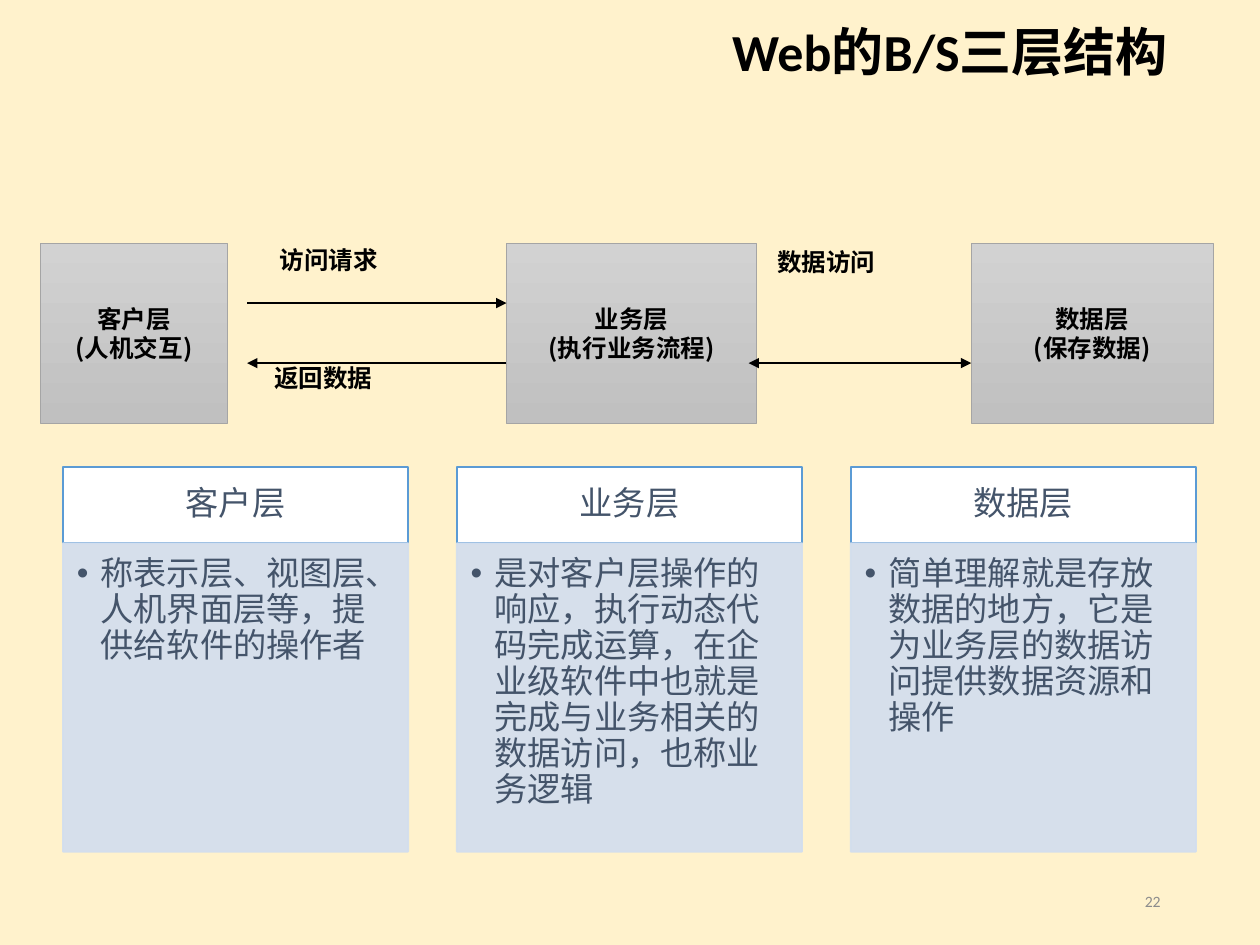
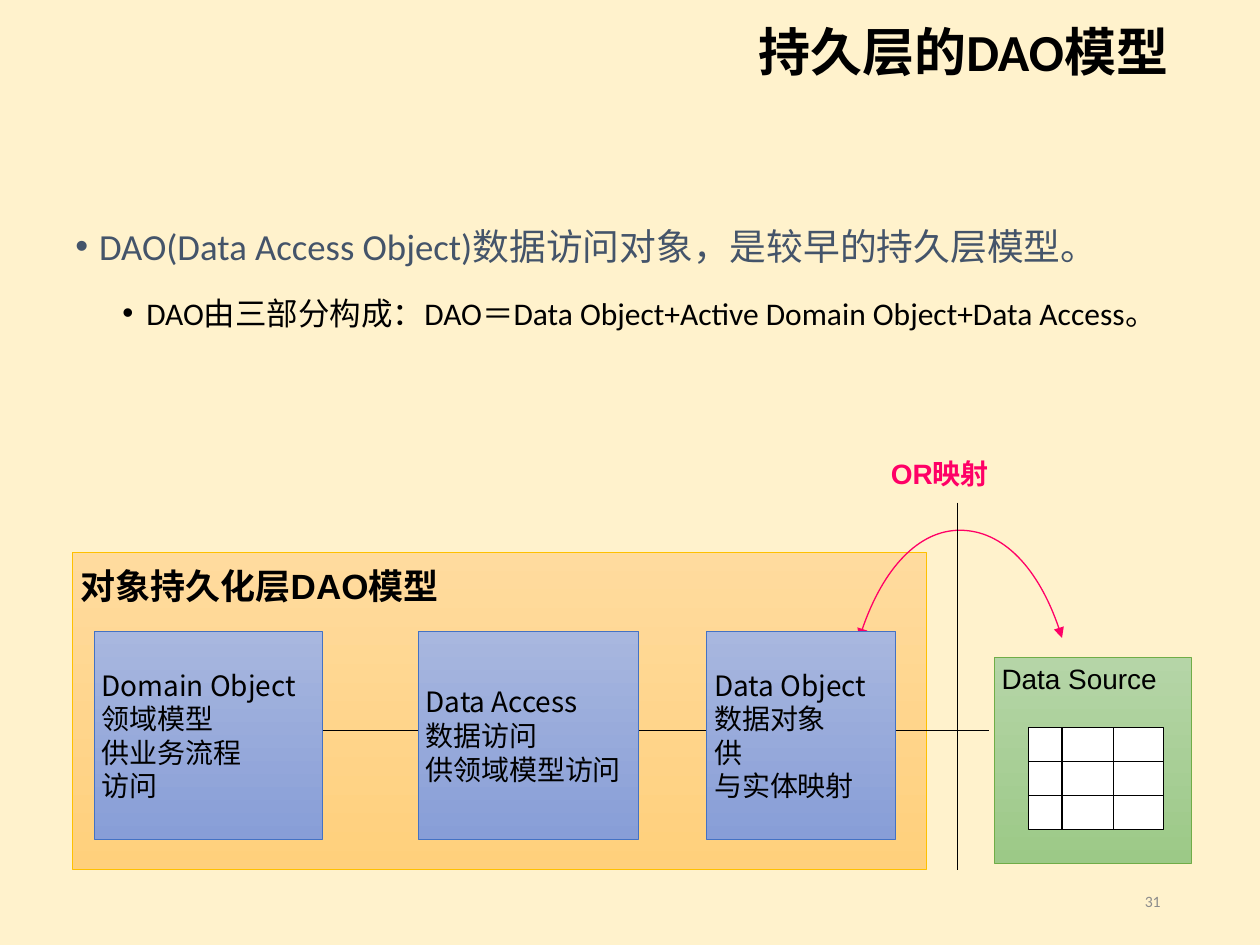
from pptx import Presentation
from pptx.dml.color import RGBColor
from pptx.enum.shapes import MSO_CONNECTOR, MSO_SHAPE
from pptx.enum.text import MSO_ANCHOR, MSO_AUTO_SIZE, PP_ALIGN
from pptx.oxml.ns import qn
from pptx.util import Cm, Pt
from lxml import etree

RECT, LINE = MSO_SHAPE.RECTANGLE, MSO_CONNECTOR.STRAIGHT
TOP, MID = MSO_ANCHOR.TOP, MSO_ANCHOR.MIDDLE
LEFT, MIDDLE, RIGHT = PP_ALIGN.LEFT, PP_ALIGN.CENTER, PP_ALIGN.RIGHT
FIT_OFF = MSO_AUTO_SIZE.NONE

HEX = {
    "page": "FFF2CC", "ink": "000000", "slate": "44546A", "mute": "8C8C8C",
    "white": "FFFFFF", "blue": "5B9BD5", "pale": "D2DEEF", "pink": "FF0066",
}
# gradient top, gradient bottom, outline
SHADE = {
    "gray": ("D2D2D2", "C0C0C0", "A5A5A5"),
    "gold": ("FFDB9E", "FFD07C", "FFC000"),
    "blue": ("A8B7DF", "889ED7", "4472C4"),
    "green": ("B5D5A7", "9CC987", "70AD47"),
}
SANS, CJK, ARIAL = "Calibri", "Noto Sans CJK SC", "Arial"

# Tiers: left and width in cm, then the lines of text
TIERS = [
    (0.81, 3.78, ["客户层", "(人机交互)"]),
    (10.21, 5.05, ["业务层", "(执行业务流程)"]),
    (19.58, 4.88, ["数据层", "(保存数据)"]),
]
FLOWS = [
    ((4.98, 6.11), (10.21, 6.11), "tail"),
    ((10.21, 7.32), (4.98, 7.32), "tail"),
    ((15.09, 7.32), (19.58, 7.32), "head tail"),
]
LABELS = [("访问请求", 5.44, 4.93), ("返回数据", 5.33, 7.32), ("数据访问", 15.47, 4.98)]
CARDS = [
    ("客户层", "称表示层、视图层、人机界面层等，提供给软件的操作者"),
    ("业务层", "是对客户层操作的响应，执行动态代码完成运算，在企业级软件中"
               "也就是完成与业务相关的数据访问，也称业务逻辑"),
    ("数据层", "简单理解就是存放数据的地方，它是为业务层的数据访问提供数据资源和操作"),
]

POINTS = [
    ("DAO(Data Access Object)数据访问对象，是较早的持久层模型。",
     dict(size=21, color="slate", indent=0.48, before=7.5)),
    ("DAO由三部分构成：DAO＝Data Object+Active Domain Object+Data Access。",
     dict(size=18, indent=1.43, before=3.8)),
]
PARTS = [
    (1.9, 4.6, ["Domain Object", "领域模型", "供业务流程", "访问"]),
    (8.43, 4.45, ["Data Access", "数据访问", "供领域模型访问"]),
    (14.25, 3.81, ["Data Object", "数据对象", "供", "与实体映射"]),
]
ARC = [(17.32, 12.88), (17.73, 11.53), (18.52, 10.69), (19.35, 10.69),
       (20.22, 10.69), (21.01, 11.53), (21.41, 12.86)]
GRID = (20.73, 14.66, 2.72, 2.06)


def rgb(name):
    return RGBColor.from_string(HEX.get(name, name))


def sub(node, tag, **attrs):
    return etree.SubElement(node, qn(tag), attrs)


def write(frame, lines, size=14, font=SANS, color="ink", bold=False, align=LEFT,
          anchor=TOP, inset=(0.25, 0.13, 0.25, 0.13), gap=None, before=0,
          indent=0, more=False):
    """Fill a text frame; indent adds a bullet, more appends to earlier text."""
    frame.word_wrap, frame.auto_size = True, FIT_OFF
    frame.vertical_anchor = anchor
    (frame.margin_left, frame.margin_top,
     frame.margin_right, frame.margin_bottom) = [Cm(n) for n in inset]
    for i, line in enumerate(lines):
        para = frame.add_paragraph() if i or more else frame.paragraphs[0]
        para.alignment, para.space_before = align, Pt(before)
        if gap:
            para.line_spacing = gap
        if indent:
            props = para._p.get_or_add_pPr()
            props.set("marL", str(Cm(indent)))
            props.set("indent", str(-Cm(0.48)))
            sub(props, "a:buFont", typeface=ARIAL)
            sub(props, "a:buChar", char="•")
        run = para.add_run()
        run.text = line
        run.font.size, run.font.bold, run.font.name = Pt(size), bold, font
        run.font.color.rgb = rgb(color)
        sub(run._r.get_or_add_rPr(), "a:ea", typeface=CJK)


def label(slide, box, lines, **form):
    frame = slide.shapes.add_textbox(*map(Cm, box)).text_frame
    write(frame, lines, **form)
    return frame


def block(slide, box, fill, edge, width=1.0):
    shape = slide.shapes.add_shape(RECT, *map(Cm, box))
    shape.shadow.inherit = False
    shape.fill.solid()
    shape.fill.fore_color.rgb = rgb(fill)
    shape.line.color.rgb = rgb(edge)
    shape.line.width = Pt(width)
    return shape


def shaded(slide, box, shade, lines, **form):
    """Draw a block with a top-down gradient and text."""
    first, last, edge = SHADE[shade]
    shape = block(slide, box, first, edge, 0.5)
    shape.fill.gradient()
    shape.fill.gradient_angle = 270
    for stop, tone in zip(shape.fill.gradient_stops, (first, last)):
        stop.color.rgb = rgb(tone)
    write(shape.text_frame, lines, **form)


def style(shape, color, ends=""):
    """Set line colour, weight and arrowheads."""
    shape.line.color.rgb = rgb(color)
    shape.line.width = Pt(0.75)
    for end in ends.split():
        sub(shape.line._get_or_add_ln(), f"a:{end}End", type="triangle")


def link(slide, start, stop, ends=""):
    line = slide.shapes.add_connector(LINE, *map(Cm, start + stop))
    style(line, "ink", ends)
    sub(line._element.spPr, "a:effectLst")


def curve(slide, dots, color):
    """Draw Bezier curves: a start, then three points for each curve."""
    dots = [(Cm(x), Cm(y)) for x, y in dots]
    pen = slide.shapes.build_freeform(*dots[0], scale=1.0)
    pen.add_line_segments(dots[1:], close=False)
    shape = pen.convert_to_shape()
    shape.shadow.inherit = False
    shape.fill.background()
    style(shape, color, "head tail")
    track = shape._element.find(".//" + qn("a:path"))
    track.set("fill", "none")
    steps = track.findall(qn("a:lnTo"))
    for i in range(0, len(steps), 3):
        bend = sub(track, "a:cubicBezTo")
        for step in steps[i:i + 3]:
            bend.append(step[0])
            track.remove(step)


def start(deck, title, number):
    slide = deck.slides.add_slide(deck.slide_layouts[5])
    head = slide.shapes.title
    head.left, head.top, head.width, head.height = map(Cm, (1.9, 0.36, 21.9, 1.5))
    write(head.text_frame, [title], size=29.7, bold=True, align=RIGHT,
          anchor=MID, gap=0.9)
    label(slide, (17.93, 17.65, 5.72, 1.02), [number], size=9, color="mute",
          align=RIGHT, anchor=MID)
    return slide


def card(slide, left, head, body):
    width, top, cap = 6.96, 9.42, 1.53
    form = dict(size=19, color="slate", gap=0.9)
    shape = block(slide, (left, top, width, cap), "white", "blue")
    write(shape.text_frame, [head], align=MIDDLE, anchor=MID,
          inset=(0.38, 0.2, 0.38, 0.2), **form)
    shape = block(slide, (left, top + cap, width, 6.22), "pale", "pale")
    for tone in shape._element.spPr.iter(qn("a:srgbClr")):
        sub(tone, "a:alpha", val="90000")
    write(shape.text_frame, [body], indent=0.48,
          inset=(0.28, 0.28, 0.38, 0.43), **form)


def tiers(deck):
    slide = start(deck, "Web的B/S三层结构", "22")
    for i, (head, body) in enumerate(CARDS):
        card(slide, 1.27 + i * 7.94, head, body)
    form = dict(font=CJK, bold=True)
    for left, width, lines in TIERS:
        shaded(slide, (left, 4.9, width, 3.63), "gray", lines, align=MIDDLE,
               anchor=MID, inset=(0.2, 0.1, 0.2, 0.1), **form)
    for flow in FLOWS:
        link(slide, *flow)
    for text, left, top in LABELS:
        label(slide, (left, top, 3.28, 1.57), [text],
              inset=(0.2, 0, 0.2, 0.1), **form)


def grid(slide, left, top, width, height):
    block(slide, (left, top, width, height), "white", "ink", 0.75)
    for i in (1, 2):
        y = top + height * i / 3
        link(slide, (left, y), (left + width, y))
    for part in (0.25, 0.63):
        x = left + width * part
        link(slide, (x, top), (x, top + height))


def model(deck):
    slide = start(deck, "持久层的DAO模型", "31")
    frame = label(slide, (1.27, 3.94, 22.86, 13.59), [])
    for i, (text, form) in enumerate(POINTS):
        write(frame, [text], gap=1.5, more=i > 0, **form)
    pad = (0.15, 0.08, 0.15, 0.08)
    shaded(slide, (1.47, 11.13, 17.2, 6.4), "gold", ["对象持久化层DAO模型"],
           size=20, font=ARIAL, bold=True, inset=(0.15, 0.25, 0.15, 0.08))
    curve(slide, ARC, "pink")
    label(slide, (17.81, 9.12, 4.04, 0.91), ["OR映射"], size=16, font=ARIAL,
          color="pink", bold=True, inset=pad)
    link(slide, (2.54, 14.73), (19.94, 14.73))
    for left, width, lines in PARTS:
        shaded(slide, (left, 12.73, width, 4.19), "blue", lines, size=16,
               font=CJK, anchor=MID, inset=pad)
    shaded(slide, (20.04, 13.26, 3.99, 4.14), "green", ["Data Source"],
           size=16, font=ARIAL, inset=pad)
    grid(slide, *GRID)
    link(slide, (19.3, 10.13), (19.3, 17.53))


def main():
    deck = Presentation()
    deck.slide_width, deck.slide_height = Cm(25.4), Cm(19.05)
    back = deck.slide_master.background.fill
    back.solid()
    back.fore_color.rgb = rgb("page")
    tiers(deck)
    model(deck)
    deck.save("out.pptx")


if __name__ == "__main__":
    main()
